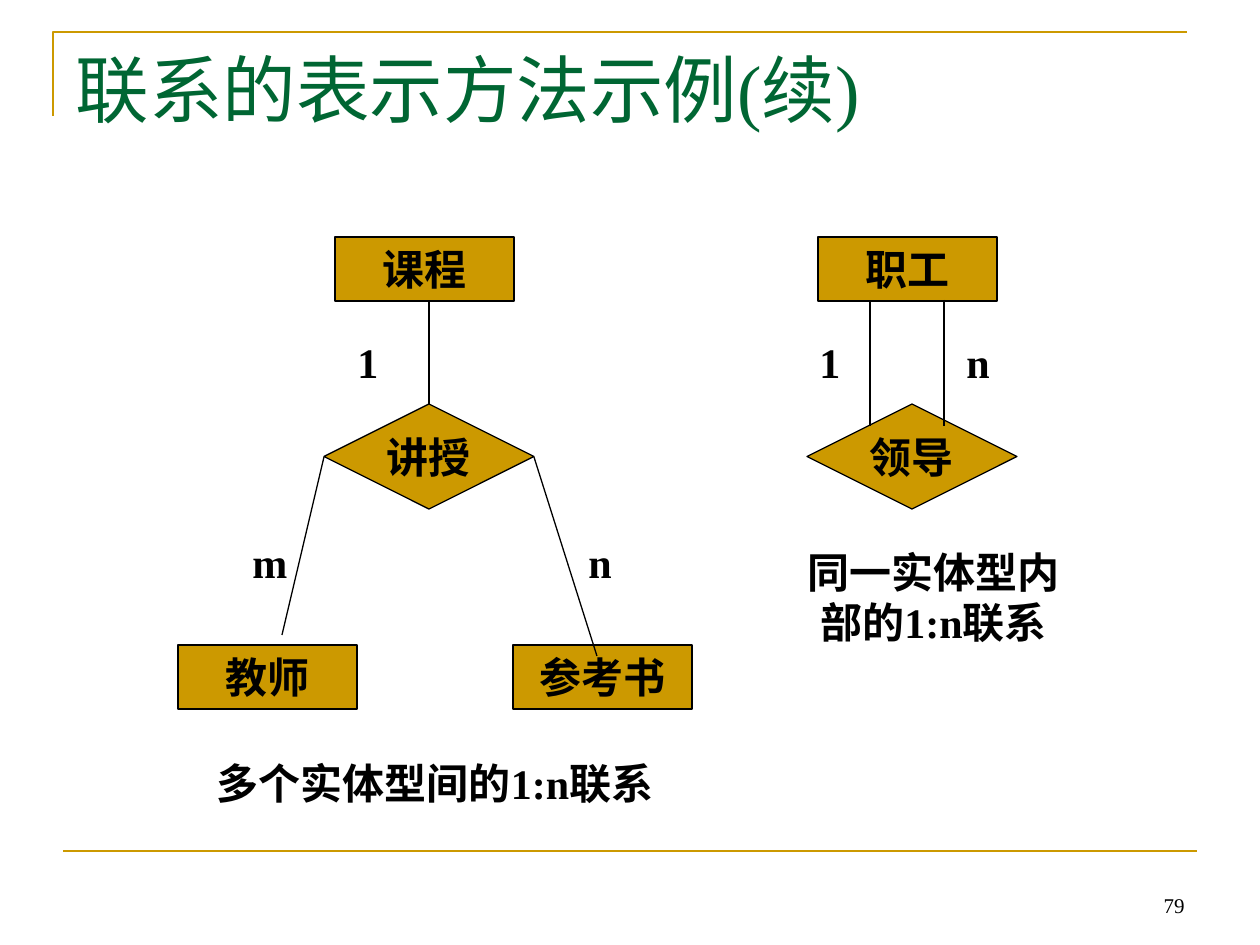
from pptx import Presentation
from pptx.dml.color import RGBColor as Rgb
from pptx.enum.shapes import MSO_CONNECTOR as Conn, MSO_SHAPE as Kind
from pptx.enum.text import MSO_ANCHOR as Anchor, PP_ALIGN as Align
from pptx.oxml.ns import qn
from pptx.util import Pt
from lxml.etree import SubElement

# Content: places in px
TITLE = "联系的表示方法示例(续)"
PAGE = "79"
ENTITIES = [("职工", 818, 237), ("课程", 335, 237),
            ("教师", 178, 645), ("参考书", 513, 645)]
RELATIONS = [("领导", 807, 404), ("讲授", 324, 404)]
ROLES = [("1", 807, 330), ("n", 954, 330), ("1", 345, 330),
         ("m", 240, 530), ("n", 576, 530)]
CAPTIONS = [("同一实体型内部的1:n联系", 776, 540, 315, 113),
            ("多个实体型间的1:n联系", 178, 751, 514, 63)]
LINKS = [(870, 426, 870, 300), (944, 300, 944, 426), (429, 404, 429, 300),
         (324, 457, 282, 635), (534, 457, 597, 656)]
RULE = (63, 851, 1197, 851)
CORNER = [(53, 116), (53, 32), (1187, 32)]
ENTITY = (179, 64)
RELATION = (210, 105)
ROLE = (53, 63)


class Theme:
    font = "Times New Roman"
    gold = Rgb(0xCC, 0x99, 0x00)
    green = Rgb(0x00, 0x66, 0x33)
    ink = Rgb(0, 0, 0)
    head, body, small = Pt(42), Pt(24), Pt(12)
    thin, thick = Pt(0.75), Pt(1.5)


def px(*vals):
    return [round(v * 914400 / 126) for v in vals]


def write(shape, text, size=Theme.body, color=Theme.ink, bold=True,
          align=Align.LEFT, anchor=Anchor.TOP, wrap=True):
    frame = shape.text_frame
    frame.word_wrap = wrap
    frame.vertical_anchor = anchor
    para = frame.paragraphs[0]
    para.text = text
    para.alignment = align
    font = para.font
    font.name, font.size, font.bold = Theme.font, size, bold
    font.color.rgb = color


def label(text, *box, **style):
    write(slide.shapes.add_textbox(*px(*box)), text, **style)


def block(kind, text, *box, **style):
    shape = slide.shapes.add_shape(kind, *px(*box))
    shape.shadow.inherit = False
    shape.fill.solid()
    shape.fill.fore_color.rgb = Theme.gold
    shape.line.color.rgb = Theme.ink
    shape.line.width = Theme.thin
    write(shape, text, align=Align.CENTER, **style)


def link(ends, color=Theme.ink, width=Theme.thin):
    line = slide.shapes.add_connector(Conn.STRAIGHT, *px(*ends))
    line.line.color.rgb = color
    line.line.width = width
    SubElement(line._element.spPr, qn("a:effectLst"))


deck = Presentation()
deck.slide_width, deck.slide_height = px(1260, 945)
slide = deck.slides.add_slide(deck.slide_layouts[5])

# Frame lines
start, *rest = [px(*spot) for spot in CORNER]
path = slide.shapes.build_freeform(*start)
path.add_line_segments(rest, close=False)
corner = path.convert_to_shape()
corner.shadow.inherit = False
corner.fill.background()
corner.line.color.rgb = Theme.gold
corner.line.width = Theme.thick
link(RULE, Theme.gold, Theme.thick)

# Title and page number
title = slide.shapes.title
title.left, title.top, title.width, title.height = px(63, 38, 1134, 157)
write(title, TITLE, Theme.head, Theme.green, bold=False)
label(PAGE, 903, 861, 294, 63, size=Theme.small, bold=False,
      align=Align.RIGHT, anchor=Anchor.BOTTOM)

# Diagrams
for text, x, y in ENTITIES:
    block(Kind.RECTANGLE, text, x, y, *ENTITY)
for text, x, y in RELATIONS:
    block(Kind.DIAMOND, text, x, y, *RELATION,
          anchor=Anchor.MIDDLE, wrap=False)
for ends in LINKS:
    link(ends)
for text, x, y in ROLES:
    label(text, x, y, *ROLE)
for text, *box in CAPTIONS:
    label(text, *box, align=Align.CENTER)

deck.save("out.pptx")
